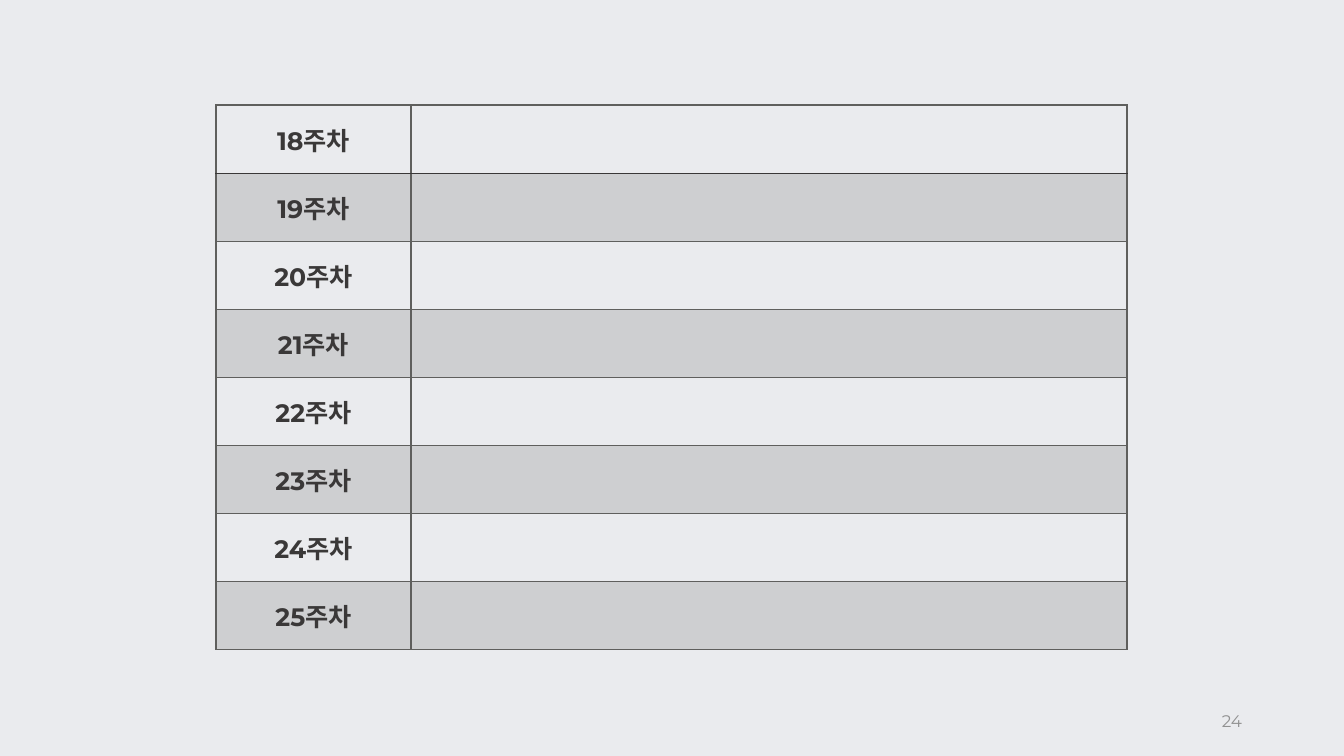
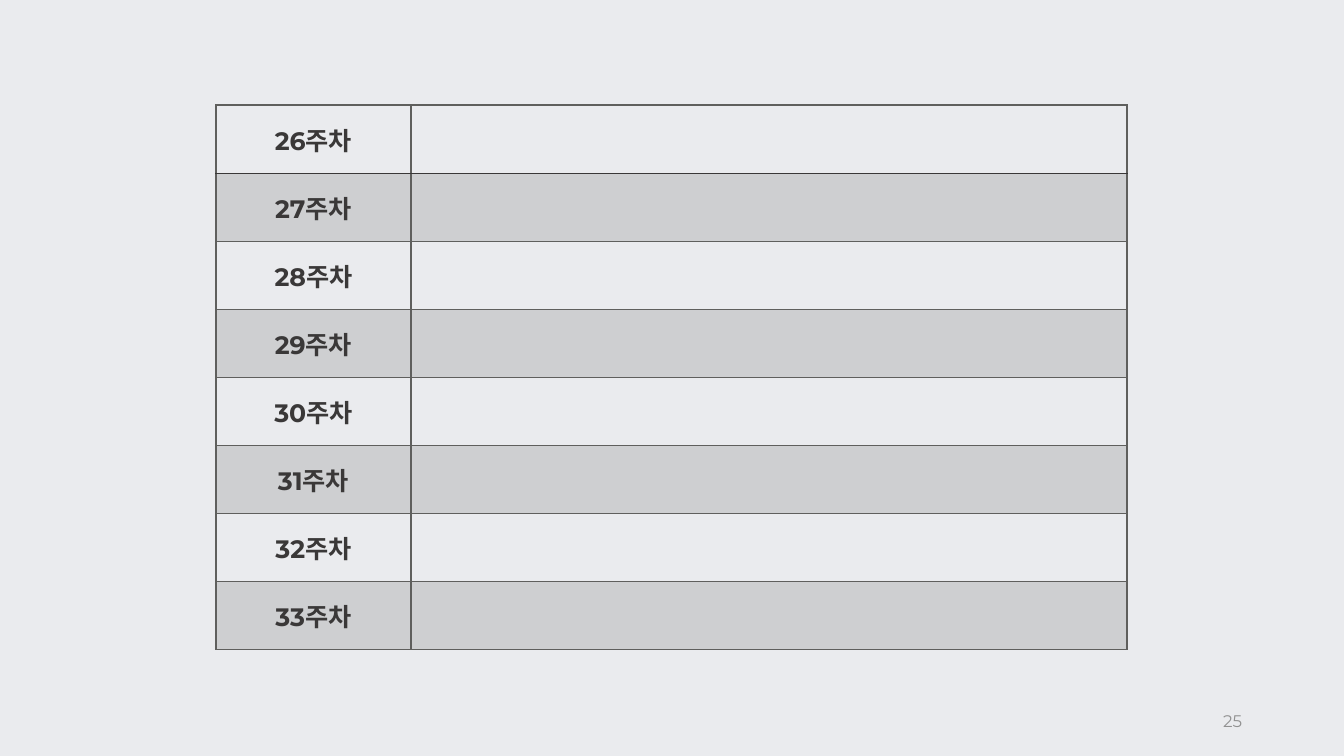
"""Builds two slides of a weekly plan, each with an eight-row table and a page number."""
import pptx
import pptx.dml.color
import pptx.enum.lang
import pptx.enum.text
import pptx.oxml.ns
import pptx.util
from lxml import etree

PAGES = [
    ("24", ["18주차", "19주차", "20주차", "21주차", "22주차", "23주차", "24주차", "25주차"]),
    ("25", ["26주차", "27주차", "28주차", "29주차", "30주차", "31주차", "32주차", "33주차"]),
]

FONT = "Montserrat"
PAPER, INK, RULE, PALE = "EAEBEE", "3A3838", "5F5F5D", "919191"
BAND_ALPHA = 20
LEFT, TOP, HIGH = 216, 105, 545
COLS = [195, 716]
FOOT = (950, 701, 302, 40)
ALIGN = pptx.enum.text.PP_ALIGN
MIDDLE = pptx.enum.text.MSO_ANCHOR.MIDDLE


def px(n):
    return pptx.util.Emu(round(n * 914400 / 100.8))


def paint(fill, color):
    fill.solid()
    fill.fore_color.rgb = pptx.dml.color.RGBColor.from_string(color)


def child(node, tag, **attrs):
    return etree.SubElement(node, pptx.oxml.ns.qn(tag), **attrs)


def write(frame, text, size, color, align, bold=False):
    para = frame.paragraphs[0]
    para.alignment = align
    run = para.add_run()
    run.text = text
    font = run.font
    font.name, font.size, font.bold = FONT, pptx.util.Pt(size), bold
    font.language_id = pptx.enum.lang.MSO_LANGUAGE_ID.KOREAN
    paint(font.fill, color)


def edge(cell, row):
    props = cell._tc.get_or_add_tcPr()
    dark = {0: "B", 1: "T"}.get(row)
    for side in "LRTB":
        line = child(props, "a:ln" + side, w=str(pptx.util.Pt(1)))
        fill = child(line, "a:solidFill")
        child(fill, "a:srgbClr", val=INK if side == dark else RULE)


def shade(cell, row):
    if row % 2 == 0:
        cell.fill.background()
        return
    paint(cell.fill, RULE)
    tone = cell._tc.tcPr.find(".//" + pptx.oxml.ns.qn("a:solidFill") + "[last()]")
    tone = cell._tc.tcPr[-1][0]
    child(tone, "a:alpha", val=str(BAND_ALPHA * 1000))


def grid(slide, weeks):
    frame = slide.shapes.add_table(len(weeks), len(COLS), px(LEFT), px(TOP), px(sum(COLS)), px(HIGH))
    table = frame.table
    table.first_row = table.horz_banding = False
    for col, wide in zip(table.columns, COLS):
        col.width = px(wide)
    for i, week in enumerate(weeks):
        table.rows[i].height = px(HIGH / len(weeks))
        for cell in table.rows[i].cells:
            cell.vertical_anchor = MIDDLE
            edge(cell, i)
            shade(cell, i)
        write(table.cell(i, 0).text_frame, week, 18, INK, ALIGN.CENTER, True)


def footer(slide, number):
    frame = slide.shapes.add_textbox(*map(px, FOOT)).text_frame
    frame.word_wrap = True
    frame.vertical_anchor = MIDDLE
    write(frame, number, 12, PALE, ALIGN.RIGHT)


def main():
    deck = pptx.Presentation()
    deck.slide_width, deck.slide_height = px(1344), px(756)
    for number, weeks in PAGES:
        slide = deck.slides.add_slide(deck.slide_layouts[6])
        paint(slide.background.fill, PAPER)
        grid(slide, weeks)
        footer(slide, number)
    deck.save("out.pptx")


if __name__ == "__main__":
    main()
